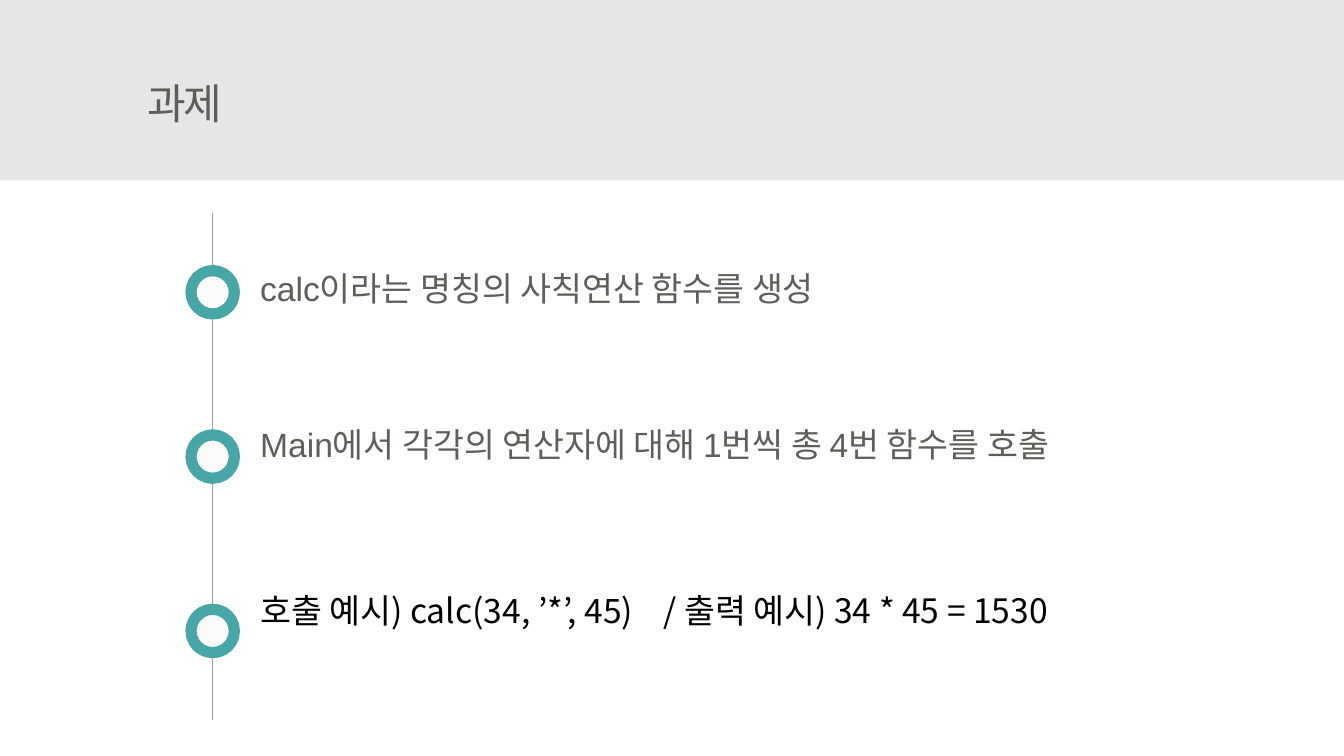
from dataclasses import dataclass

from lxml import etree
from pptx import Presentation
from pptx.dml.color import RGBColor
from pptx.enum.shapes import MSO_CONNECTOR, MSO_SHAPE
from pptx.enum.text import MSO_ANCHOR, MSO_AUTO_SIZE, PP_ALIGN
from pptx.oxml.ns import qn
from pptx.util import Inches, Pt

RECTANGLE, OVAL = MSO_SHAPE.RECTANGLE, MSO_SHAPE.OVAL
STRAIGHT = MSO_CONNECTOR.STRAIGHT
TOP, MIDDLE = MSO_ANCHOR.TOP, MSO_ANCHOR.MIDDLE
NO_AUTOFIT = MSO_AUTO_SIZE.NONE
LEFT = PP_ALIGN.LEFT


@dataclass(frozen=True)
class Theme:
    band: RGBColor = RGBColor.from_string("E7E6E6")
    muted: RGBColor = RGBColor.from_string("5F5E58")
    ink: RGBColor = RGBColor.from_string("000000")
    rail: RGBColor = RGBColor.from_string("A1A099")
    ring: RGBColor = RGBColor.from_string("49A6A6")
    ring_center: RGBColor = RGBColor.from_string("FBFBFB")
    latin: str = "Arial"
    korean: str = "Noto Sans CJK KR"
    title_size: int = 30
    task_size: int = 24
    task_line: float = 34.75


theme = Theme()
deck = Presentation()
deck.slide_width, deck.slide_height = Inches(13.33), Inches(7.5)
CELL = deck.slide_height / 75
slide = deck.slides.add_slide(deck.slide_layouts[1])


def cells(*counts):
    return [round(count * CELL) for count in counts]


def write(paragraph, text, latin, size, color):
    paragraph.alignment = LEFT
    run = paragraph.add_run()
    run.text = text
    for name, value in {"name": latin, "size": Pt(size), "bold": False}.items():
        setattr(run.font, name, value)
    run.font.color.rgb = color
    properties = run.font._element
    etree.SubElement(properties, qn("a:ea")).set("typeface", theme.korean)
    return properties


band = slide.shapes.add_shape(RECTANGLE, 0, 0, deck.slide_width, cells(17.9)[0])
band.shadow.inherit = False
band.fill.solid()
band.fill.fore_color.rgb = theme.band
band.line.fill.background()
slide.shapes._spTree.insert(2, band._element)

heading = slide.shapes.title
tasks = slide.placeholders[1]
placements = [
    (heading, (14.6, 7.1, 100, 6.1), MIDDLE),
    (tasks, (25.8, 26.6, 100, 40), TOP),
]
for placeholder, box, anchor in placements:
    for name, value in zip(("left", "top", "width", "height"), cells(*box)):
        setattr(placeholder, name, value)
    frame_format = {
        "margin_left": 0, "margin_right": 0, "margin_top": 0, "margin_bottom": 0,
        "word_wrap": True, "auto_size": NO_AUTOFIT, "vertical_anchor": anchor,
    }
    for name, value in frame_format.items():
        setattr(placeholder.text_frame, name, value)

heading_properties = write(heading.text_frame.paragraphs[0], "과제",
                           theme.korean, theme.title_size, theme.muted)
heading_properties.set("spc", "-150")

rail_column = 21.1
rail = slide.shapes.add_connector(STRAIGHT, *cells(rail_column, 21.1, rail_column, 71.4))
rail.line.color.rgb = theme.rail
rail.line.width = Pt(0.5)
etree.SubElement(rail._element.spPr, qn("a:effectLst"))

steps = [
    (29, "calc이라는 명칭의 사칙연산 함수를 생성", theme.latin, theme.muted),
    (45.3, "Main에서 각각의 연산자에 대해 1번씩 총 4번 함수를 호출", theme.latin, theme.muted),
    (62.6, "호출 예시) calc(34, ’*’, 45)\t/ 출력 예시) 34 * 45 = 1530", theme.korean, theme.ink),
]
ring_size = 4.3
previous_row = None
for row, text, latin, color in steps:
    first = previous_row is None
    paragraph = tasks.text_frame.paragraphs[0] if first else tasks.text_frame.add_paragraph()
    write(paragraph, text, latin, theme.task_size, color)
    gap = 0 if first else (row - previous_row) * CELL / Pt(1) - theme.task_line
    paragraph.space_before = Pt(gap)
    bullet_free = paragraph._p.get_or_add_pPr()
    for name in ("marL", "indent"):
        bullet_free.set(name, "0")
    etree.SubElement(bullet_free, qn("a:buNone"))
    previous_row = row

    ring = slide.shapes.add_shape(OVAL, *cells(
        rail_column - ring_size / 2, row - ring_size / 2, ring_size, ring_size))
    ring.shadow.inherit = False
    ring.fill.solid()
    ring.fill.fore_color.rgb = theme.ring_center
    ring.line.color.rgb = theme.ring
    ring.line.width = Pt(8)

deck.save("out.pptx")
